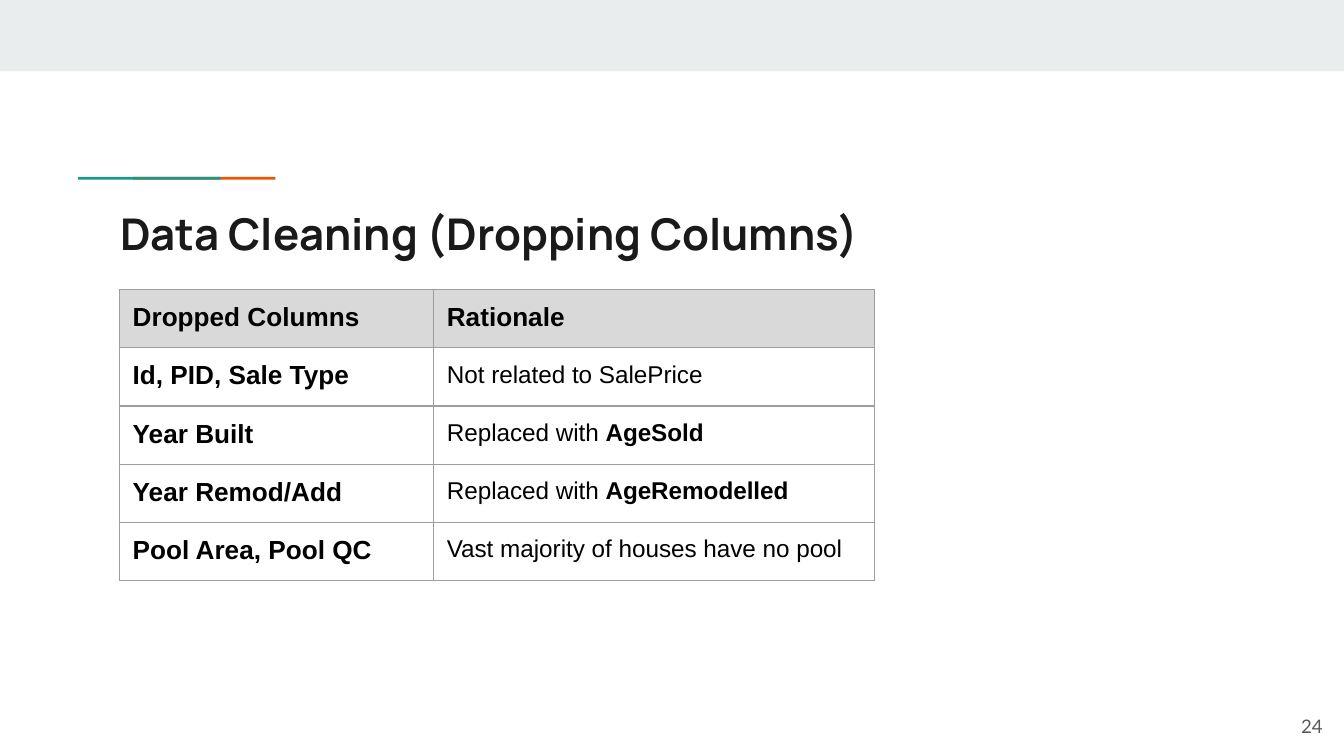
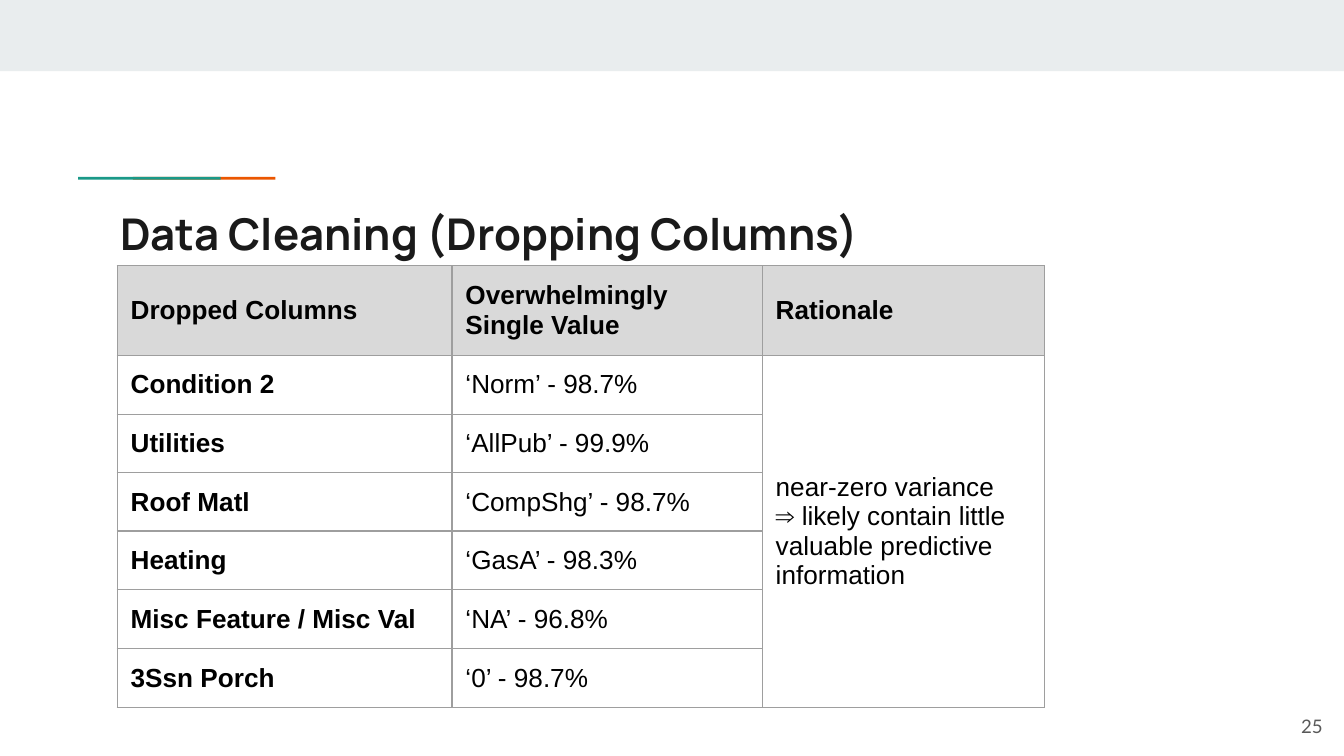
from dataclasses import dataclass

from lxml import etree
from pptx import Presentation
from pptx.dml.color import RGBColor
from pptx.enum.shapes import MSO_SHAPE
from pptx.enum.text import MSO_ANCHOR, PP_ALIGN
from pptx.oxml.ns import qn
from pptx.util import Pt

RECT = MSO_SHAPE.RECTANGLE
TOP, MIDDLE = MSO_ANCHOR.TOP, MSO_ANCHOR.MIDDLE
LEFT, RIGHT = PP_ALIGN.LEFT, PP_ALIGN.RIGHT


@dataclass(frozen=True)
class Theme:
    # Colours
    band: str = "E9EDEE"
    teal: str = "1A9988"
    orange: str = "EB5600"
    title: str = "1A1A1A"
    text: str = "000000"
    header: str = "D9D9D9"
    border: str = "9E9E9E"
    number: str = "595959"
    # Fonts and sizes
    title_font: str = "Manrope"
    body_font: str = "Arial"
    number_font: str = "Lato"
    title_size: float = 23.4
    label_size: float = 14
    note_size: float = 13
    number_size: float = 10
    # Lengths
    inset: float = 7.2
    border_width: float = 0.75


THEME = Theme()


def write(tf, text, *, font, size, color, bold=False, align=LEFT):
    """Fill a text frame; newlines split paragraphs, ** toggles bold."""
    for i, line in enumerate(text.split("\n")):
        p = tf.paragraphs[0] if i == 0 else tf.add_paragraph()
        p.alignment = align
        for j, piece in enumerate(line.split("**")):
            if not piece:
                continue
            r = p.add_run()
            r.text = piece
            r.font.name = font
            r.font.size = Pt(size)
            r.font.bold = bold or j % 2 == 1
            r.font.color.rgb = RGBColor.from_string(color)


def set_insets(target, inset):
    for side in ("left", "top", "right", "bottom"):
        setattr(target, f"margin_{side}", Pt(inset))


class Deck:
    def __init__(self, theme):
        self.theme = theme
        self.prs = Presentation()
        self.prs.slide_width, self.prs.slide_height = Pt(720), Pt(405)
        self.s = None

    def slide(self, title, number):
        """Start a slide with the shared band, accent, title and number."""
        t = self.theme
        self.s = self.prs.slides.add_slide(self.prs.slide_layouts[6])
        self.rect(0, 0, 720, 38.2, t.band)
        self.rect(71.2, 94.8, 76.4, 1.5, t.orange)
        self.rect(41.8, 94.8, 76.4, 1.5, t.teal)
        self.text(title, 57.3, 103.7, 605.5, 42.5, font=t.title_font,
                  size=t.title_size, color=t.title, bold=True)
        self.text(str(number), 672.5, 373.7, 43.2, 31, anchor=MIDDLE,
                  font=t.number_font, size=t.number_size, color=t.number,
                  align=RIGHT)

    def rect(self, x, y, w, h, color):
        sp = self.s.shapes.add_shape(RECT, Pt(x), Pt(y), Pt(w), Pt(h))
        sp.shadow.inherit = False
        sp.fill.solid()
        sp.fill.fore_color.rgb = RGBColor.from_string(color)
        sp.line.fill.background()

    def text(self, text, x, y, w, h, anchor=TOP, **fmt):
        tf = self.s.shapes.add_textbox(Pt(x), Pt(y), Pt(w), Pt(h)).text_frame
        tf.word_wrap = True
        tf.vertical_anchor = anchor
        set_insets(tf, self.theme.inset)
        write(tf, text, **fmt)

    def table(self, rows, x, y, widths, heights, note_size, anchor=TOP, merge=None):
        """Draw a table; merge is the (first, last) cell pair to join."""
        t = self.theme
        frame = self.s.shapes.add_table(len(rows), len(widths), Pt(x), Pt(y),
                                        Pt(sum(widths)), Pt(sum(heights)))
        tbl = frame.table
        tbl.first_row = tbl.horz_banding = False
        for col, width in zip(tbl.columns, widths):
            col.width = Pt(width)
        for row, height in zip(tbl.rows, heights):
            row.height = Pt(height)
        if merge:
            first, last = merge
            tbl.cell(*first).merge(tbl.cell(*last))
        for i, row in enumerate(rows):
            for j in range(len(widths)):
                cell = tbl.cell(i, j)
                self.style_cell(cell, i == 0, anchor)
                if j < len(row):
                    label = i == 0 or j == 0
                    write(cell.text_frame, row[j], font=t.body_font, color=t.text,
                          size=t.label_size if label else note_size, bold=label)

    def style_cell(self, cell, is_header, anchor):
        t = self.theme
        set_insets(cell, t.inset)
        cell.vertical_anchor = anchor
        if is_header:
            cell.fill.solid()
            cell.fill.fore_color.rgb = RGBColor.from_string(t.header)
        else:
            cell.fill.background()
        # Borders come before the fill in the cell properties
        tc_pr = cell._tc.get_or_add_tcPr()
        for i, side in enumerate("LRTB"):
            ln = etree.Element(qn(f"a:ln{side}"), w=str(Pt(t.border_width)))
            fill = etree.SubElement(ln, qn("a:solidFill"))
            etree.SubElement(fill, qn("a:srgbClr"), val=t.border)
            tc_pr.insert(i, ln)


def main():
    deck = Deck(THEME)
    title = "Data Cleaning (Dropping Columns)"

    # Columns dropped for individual reasons
    deck.slide(title, 24)
    reasons = [
        ("Dropped Columns", "Rationale"),
        ("Id, PID, Sale Type", "Not related to SalePrice"),
        ("Year Built", "Replaced with **AgeSold**"),
        ("Year Remod/Add", "Replaced with **AgeRemodelled**"),
        ("Pool Area, Pool QC", "Vast majority of houses have no pool"),
    ]
    deck.table(reasons, 63.9, 155, [168.3, 236.2], [31.2] * len(reasons),
               THEME.note_size)

    # Columns dropped for near-zero variance
    deck.slide(title, 25)
    single_values = [
        ("Dropped Columns", "Overwhelmingly Single Value", "Rationale"),
        ("Condition 2", "‘Norm’ - 98.7%",
         "near-zero variance\n⇒ likely contain little valuable predictive information"),
        ("Utilities", "‘AllPub’ - 99.9%"),
        ("Roof Matl", "‘CompShg’ - 98.7%"),
        ("Heating", "‘GasA’ - 98.3%"),
        ("Misc Feature / Misc Val", "‘NA’ - 96.8%"),
        ("3Ssn Porch", "‘0’ - 98.7%"),
    ]
    deck.table(single_values, 62.8, 142.3, [179.4, 166.2, 151.4],
               [44, 31.7, 28.8, 28.8, 28.8, 31.7, 31.7],
               THEME.label_size, anchor=MIDDLE, merge=((1, 2), (6, 2)))

    deck.prs.save("out.pptx")


if __name__ == "__main__":
    main()
